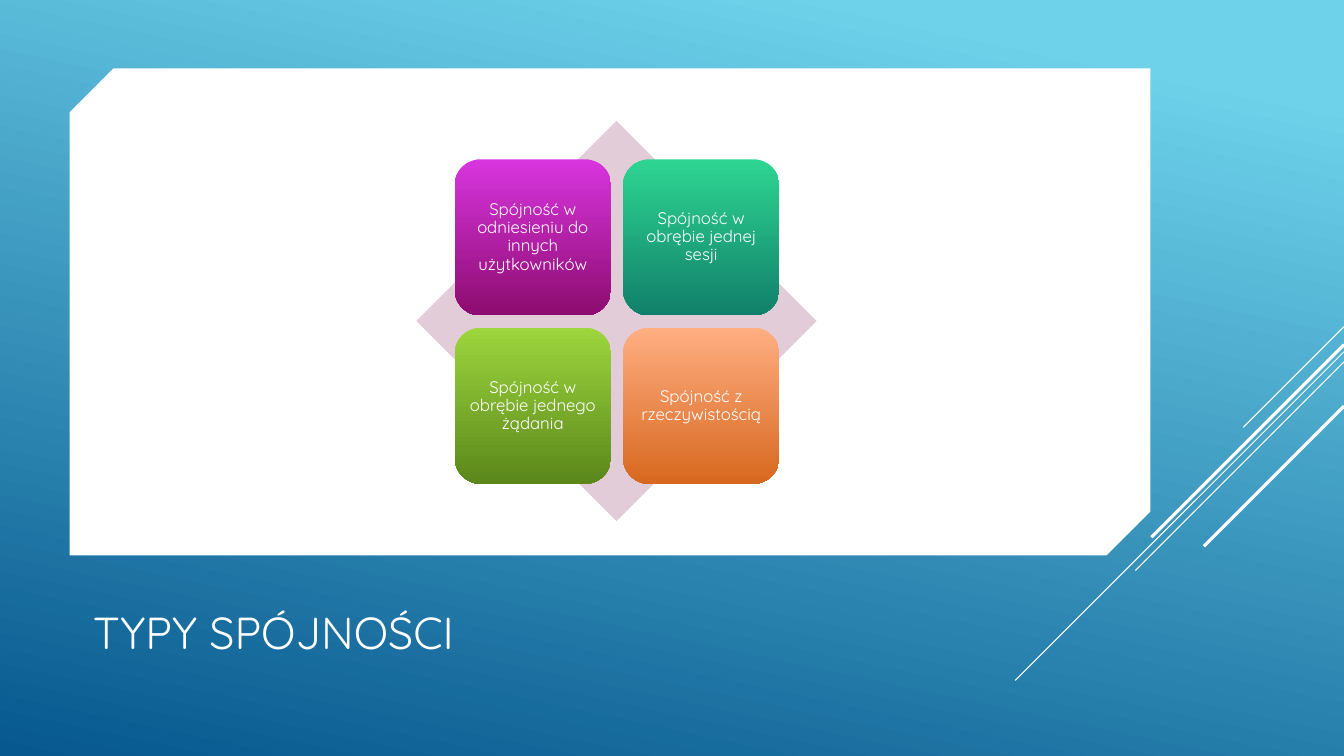
import pptx
import pptx.dml.color
import pptx.enum.shapes
import pptx.enum.text
import pptx.oxml
import pptx.oxml.ns
import pptx.util
from dataclasses import dataclass

Inches = pptx.util.Inches
Pt = pptx.util.Pt
Shape = pptx.enum.shapes.MSO_SHAPE
Align = pptx.enum.text.PP_ALIGN
Anchor = pptx.enum.text.MSO_ANCHOR


@dataclass(frozen=True)
class Theme:
    font: str = "Quicksand"
    title_size: int = 32
    tile_size: int = 12
    white: str = "FFFFFF"
    diamond: str = "E1CCD8"
    sky: tuple = ("6ED2EB", "06588E")
    purple: tuple = ("D835DF", "8D0C6F")
    teal: tuple = ("2ED592", "11806A")
    green: tuple = ("9DD63D", "5B871B")
    orange: tuple = ("FFAE82", "D7681F")


def rgb(value):
    return pptx.dml.color.RGBColor.from_string(value)


def apply(target, values):
    for name, value in values.items():
        setattr(target, name, value)


class SlideBuilder:
    def __init__(self, deck, theme):
        self.theme = theme
        self.slide = deck.slides.add_slide(deck.slide_layouts[5])

    def gradient(self, fill, colors, angle, start=0):
        fill.gradient()
        fill.gradient_angle = 360 - angle
        for stop, color, position in zip(fill.gradient_stops, colors, (start, 1)):
            stop.color.rgb = rgb(color)
            stop.position = position

    def background(self, colors, angle, start):
        self.gradient(self.slide.background.fill, colors, angle, start)

    def set_text(self, frame, text, size, frame_format, paragraph_format):
        apply(frame, {"word_wrap": True, **frame_format})
        frame.text = text
        paragraph = frame.paragraphs[0]
        apply(paragraph, paragraph_format)
        font = paragraph.runs[0].font
        apply(font, {"name": self.theme.font, "size": Pt(size)})
        font.color.rgb = rgb(self.theme.white)

    def title(self, text, left, top, width, height):
        heading = self.slide.shapes.title
        apply(heading, {"left": Inches(left), "top": Inches(top),
                        "width": Inches(width), "height": Inches(height)})
        self.set_text(heading.text_frame, text, self.theme.title_size,
                      {"vertical_anchor": Anchor.BOTTOM},
                      {"alignment": Align.LEFT, "line_spacing": 0.9})

    def shape(self, kind, left, top, width, height, color, adjustments=()):
        item = self.slide.shapes.add_shape(
            kind, Inches(left), Inches(top), Inches(width), Inches(height))
        item.shadow.inherit = False
        item.line.fill.background()
        if isinstance(color, tuple):
            self.gradient(item.fill, color, 90)
        else:
            item.fill.solid()
            item.fill.fore_color.rgb = rgb(color)
        for index, value in enumerate(adjustments):
            item.adjustments[index] = value
        return item

    def tile(self, text, left, top, size, colors):
        card = self.shape(Shape.ROUNDED_RECTANGLE, left, top, size, size, colors)
        sides = ("left", "top", "right", "bottom")
        margins = {f"margin_{side}": Inches(0.05) for side in sides}
        self.set_text(card.text_frame, text, self.theme.tile_size,
                      {"vertical_anchor": Anchor.MIDDLE, **margins},
                      {"alignment": Align.CENTER, "line_spacing": 0.9})

    def diagonal(self, right, top, span, weight):
        ray = self.slide.shapes.add_connector(
            pptx.enum.shapes.MSO_CONNECTOR.STRAIGHT, Inches(right), Inches(top),
            Inches(right - span), Inches(top + span))
        ray.line.width = Pt(weight)
        ray.line.color.rgb = rgb(self.theme.white)
        properties = ray._element.spPr
        properties.append(pptx.oxml.parse_xml(
            f"<a:effectLst {pptx.oxml.ns.nsdecls('a')}/>"))


def main():
    theme = Theme()
    deck = pptx.Presentation()
    slide_width = 13.33
    apply(deck, {"slide_width": Inches(slide_width), "slide_height": Inches(7.5)})

    builder = SlideBuilder(deck, theme)
    builder.background(theme.sky, 102, 0.1)
    builder.title("TYPY SPÓJNOŚCI", 0.82, 5.67, 9.52, 0.92)
    builder.shape(Shape.SNIP_2_DIAG_RECTANGLE, 0.69, 0.68, 10.72, 4.83,
                  theme.white, (0.09, 0))

    rays = [(3.24, 1, 0.75), (3.49, 3.26, 0.75), (3.59, 2.07, 0.75),
            (3.42, 1.91, 2.25), (4.03, 1.39, 2.25)]
    for top, span, weight in rays:
        builder.diagonal(slide_width, top, span, weight)

    builder.shape(Shape.DIAMOND, 4.13, 1.2, 3.97, 3.97, theme.diamond)
    consistency_types = [
        ("Spójność w odniesieniu do innych użytkowników", theme.purple),
        ("Spójność w obrębie jednej sesji", theme.teal),
        ("Spójność w obrębie jednego żądania", theme.green),
        ("Spójność z rzeczywistością", theme.orange),
    ]
    tile_size, pitch = 1.55, 1.67
    for index, (text, colors) in enumerate(consistency_types):
        row, column = divmod(index, 2)
        builder.tile(text, 4.51 + column * pitch, 1.58 + row * pitch,
                     tile_size, colors)

    deck.save("out.pptx")


if __name__ == "__main__":
    main()
